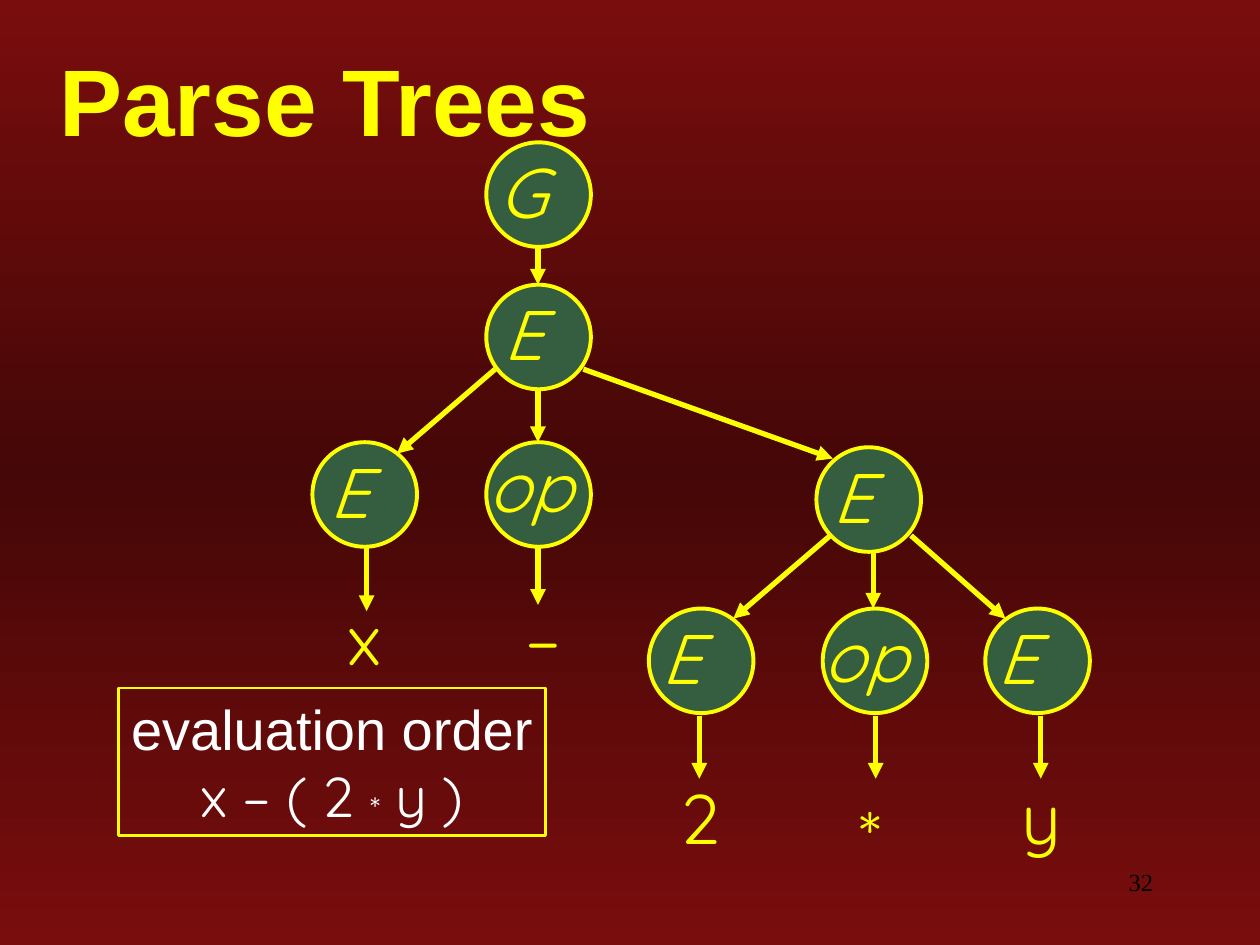
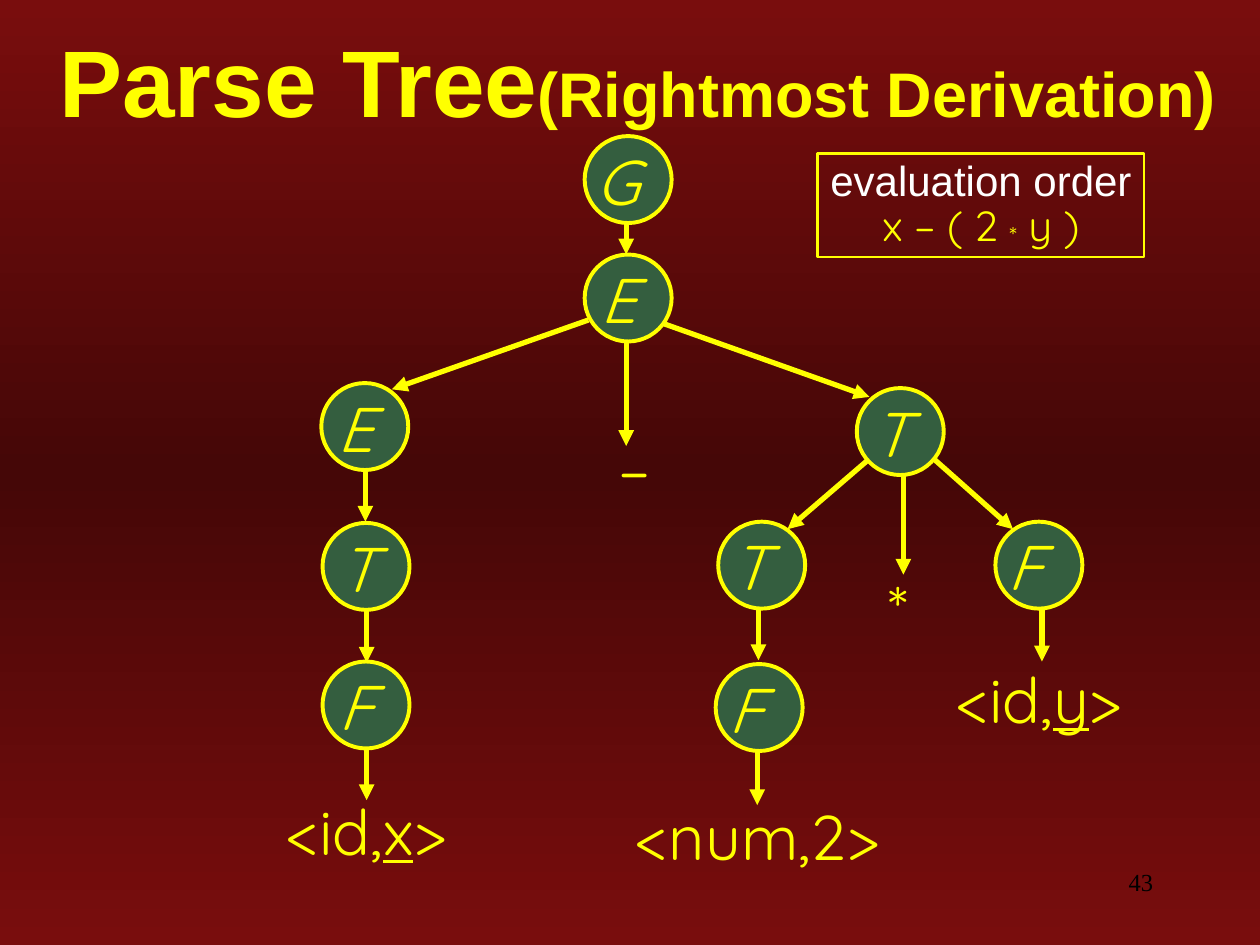
from copy import deepcopy

from lxml.etree import SubElement
from pptx import Presentation
from pptx.dml.color import RGBColor
from pptx.enum.shapes import MSO_CONNECTOR, MSO_SHAPE
from pptx.enum.text import MSO_ANCHOR, MSO_AUTO_SIZE, PP_ALIGN
from pptx.oxml.ns import qn
from pptx.util import Inches, Pt

# Shared look
YELLOW, WHITE, BLACK, GREEN = "FFFF00", "FFFFFF", "000000", "345E3F"
GRADIENT = [(0, "790D0D"), (0.5, "450707"), (1, "790D0D")]
SHADOW = "E0E0E0"
HEADING, LETTERING, NUMBERING = "Arial", "Quicksand", "Times New Roman"
FORMULA = [("x – ( 2 ", ""), ("*", "lowered"), (" y )", "")]

# Nodes: symbol, circle left, circle top, label shift right, label shift down
# Arrows: start x, start y, end x, end y
# Leaves: runs of (text, style), left, top, width
SLIDES = [
    {
        "title": [("Parse Trees", 54)], "title_top": 0.37, "number": "32",
        "size": 40, "diameter": 0.83, "label_height": 0.77,
        "label_widths": {1: 0.64, 2: 0.96}, "leaf_align": PP_ALIGN.LEFT,
        "nodes": [
            ("G", 3.86, 1.13, 0, 0),
            ("E", 3.86, 2.26, 0.04, 0),
            ("E", 2.48, 3.51, 0.04, 0),
            ("op", 3.86, 3.51, -0.08, -0.05),
            ("E", 6.48, 3.55, 0.03, 0),
            ("E", 5.15, 4.83, 0, 0),
            ("op", 6.53, 4.83, -0.09, -0.02),
            ("E", 7.82, 4.83, 0, 0),
        ],
        "arrows": [
            (4.27, 1.96, 4.27, 2.26),
            (3.93, 2.93, 3.15, 3.6),
            (4.27, 3.01, 4.27, 3.51),
            (4.63, 2.93, 6.61, 3.64),
            (2.91, 4.35, 2.91, 4.85),
            (4.27, 4.3, 4.27, 4.8),
            (6.59, 4.25, 5.82, 4.91),
            (6.93, 4.33, 6.93, 4.83),
            (7.23, 4.25, 7.98, 4.91),
            (5.55, 5.68, 5.55, 6.18),
            (6.95, 5.68, 6.95, 6.18),
            (8.26, 5.68, 8.26, 6.18),
        ],
        "leaves": [
            ([("x", "")], 2.66, 4.68, 0.49),
            ([("–", "")], 4.07, 4.67, 0.49),
            ([("2", "")], 5.3, 6.1, 0.49),
            ([("*", "")], 6.72, 6.23, 0.49),
            ([("y", "")], 8.01, 6.1, 0.49),
        ],
        "order": {"place": (0.94, 5.46, 3.39, 1.17), "size": 32,
                  "formula_color": WHITE, "spacing": 1.0},
    },
    {
        "title": [("Parse Tree", 54), ("(Rightmost Derivation)", 36)],
        "title_top": 0.22, "number": "43",
        "size": 36, "diameter": 0.69, "label_height": 0.7,
        "label_widths": {1: 0.53}, "leaf_align": PP_ALIGN.CENTER,
        "nodes": [
            ("G", 4.64, 1.08, -0.01, 0),
            ("E", 4.64, 2.02, 0.03, 0),
            ("E", 2.55, 3.04, 0.03, 0),
            ("T", 2.56, 4.15, 0.03, 0),
            ("F", 2.56, 5.25, 0.03, 0),
            ("T", 6.8, 3.08, 0.02, 0),
            ("T", 5.7, 4.14, 0, 0),
            ("F", 5.68, 5.27, 0, 0),
            ("F", 7.9, 4.14, 0, 0),
        ],
        "arrows": [
            (4.97, 1.77, 4.97, 2.02),
            (4.67, 2.54, 3.11, 3.09),
            (4.97, 2.64, 4.97, 3.54),
            (5.27, 2.57, 6.9, 3.15),
            (2.9, 3.73, 2.9, 4.14),
            (2.91, 4.84, 2.91, 5.26),
            (2.91, 5.94, 2.91, 6.35),
            (6.89, 3.65, 6.25, 4.2),
            (7.17, 3.72, 7.17, 4.56),
            (7.42, 3.65, 8.04, 4.2),
            (6.02, 4.82, 6.02, 5.24),
            (6.01, 5.97, 6.01, 6.39),
            (8.27, 4.84, 8.27, 5.25),
        ],
        "leaves": [
            ([("–", "")], 4.81, 3.36, 0.4),
            ([("*", "")], 6.95, 4.46, 0.41),
            ([("<id,", ""), ("x", "underlined"), (">", "")], 2.05, 6.24, 1.72),
            ([("<num,2>", "")], 4.82, 6.28, 2.39),
            ([("<id,", ""), ("y", "underlined"), (">", "")], 7.37, 5.19, 1.76),
        ],
        "order": {"place": (6.49, 1.22, 2.59, 0.82), "size": 24,
                  "formula_color": YELLOW, "spacing": 0.9},
    },
]


def color(value):
    return RGBColor.from_string(value)


def inches(*lengths):
    return [Inches(length) for length in lengths]


def add_span(para, text, size, font, shade, style=""):
    span = para.add_run()
    span.text = text
    span.font.size = Pt(size)
    span.font.name = font
    span.font.color.rgb = color(shade)
    if style == "italic":
        span.font.italic = True
    elif style == "underlined":
        span.font.underline = True
    elif style == "lowered":
        span.font._element.set("baseline", "-6000")
    return span


def add_label(page, place, spans, size, font=LETTERING, shade=YELLOW,
              align=PP_ALIGN.LEFT):
    frame = page.shapes.add_textbox(*inches(*place)).text_frame
    frame.word_wrap = True
    para = frame.paragraphs[0]
    para.alignment = align
    for text, style in spans:
        add_span(para, text, size, font, shade, style)


def add_outline(page, kind, place, width):
    shape = page.shapes.add_shape(kind, *inches(*place))
    shape.shadow.inherit = False
    shape.line.color.rgb = color(YELLOW)
    shape.line.width = Pt(width)
    return shape


def paint_background(master):
    fill = master.background.fill
    fill.gradient()
    fill.gradient_angle = 90
    stop_list = master.element.find(".//" + qn("a:gsLst"))
    stop_list.append(deepcopy(stop_list[0]))
    for stop, (position, shade) in zip(fill.gradient_stops, GRADIENT):
        stop.position = position
        stop.color.rgb = color(shade)


def add_title(page, spans, top):
    title = page.shapes.title
    title.left, title.top, title.width, title.height = inches(
        0.37, top, 9.63, 0.83)
    frame = title.text_frame
    frame.vertical_anchor = MSO_ANCHOR.MIDDLE
    frame.auto_size = MSO_AUTO_SIZE.NONE
    para = frame.paragraphs[0]
    para.alignment = PP_ALIGN.LEFT
    for text, size in spans:
        span = add_span(para, text, size, HEADING, YELLOW)
        span.font.bold = True
        # Text shadow, placed right after the fill
        properties = span.font._element
        effects = SubElement(properties, qn("a:effectLst"))
        shadow = SubElement(effects, qn("a:outerShdw"), dist="28400",
                            dir="2700000", algn="tl")
        SubElement(shadow, qn("a:srgbClr"), val=SHADOW)
        properties.find(qn("a:solidFill")).addnext(effects)


def add_arrow(page, ends):
    arrow = page.shapes.add_connector(MSO_CONNECTOR.STRAIGHT, *inches(*ends))
    arrow.line.color.rgb = color(YELLOW)
    arrow.line.width = Pt(3)
    SubElement(arrow.line._get_or_add_ln(), qn("a:tailEnd"), type="triangle")
    SubElement(arrow._element.spPr, qn("a:effectLst"))


def add_node(page, tree, symbol, left, top, right_shift, down_shift):
    diameter = tree["diameter"]
    circle = add_outline(page, MSO_SHAPE.OVAL,
                         (left, top, diameter, diameter), 2.25)
    circle.fill.solid()
    circle.fill.fore_color.rgb = color(GREEN)
    place = (left + right_shift, top + down_shift,
             tree["label_widths"][len(symbol)], tree["label_height"])
    add_label(page, place, [(symbol, "italic")], tree["size"])


def add_order_box(page, order):
    box = add_outline(page, MSO_SHAPE.RECTANGLE, order["place"], 1.5)
    box.fill.background()
    frame = box.text_frame
    frame.word_wrap = False
    frame.vertical_anchor = MSO_ANCHOR.TOP
    heading, formula = frame.paragraphs[0], frame.add_paragraph()
    for para in (heading, formula):
        para.alignment = PP_ALIGN.CENTER
        para.line_spacing = order["spacing"]
    add_span(heading, "evaluation order", order["size"], HEADING, WHITE)
    for text, style in FORMULA:
        add_span(formula, text, order["size"], LETTERING,
                 order["formula_color"], style)


def build_slide(deck, tree):
    page = deck.slides.add_slide(deck.slide_layouts[5])
    add_title(page, tree["title"], tree["title_top"])
    add_label(page, (7.17, 6.83, 2.08, 0.5), [(tree["number"], "")], 14,
              NUMBERING, BLACK, PP_ALIGN.RIGHT)
    for ends in tree["arrows"]:
        add_arrow(page, ends)
    for node in tree["nodes"]:
        add_node(page, tree, *node)
    for spans, left, top, width in tree["leaves"]:
        align = tree["leaf_align"] if width > 1 else PP_ALIGN.LEFT
        add_label(page, (left, top, width, tree["label_height"]), spans,
                  tree["size"], align=align)
    add_order_box(page, tree["order"])


def main():
    deck = Presentation()
    deck.slide_width, deck.slide_height = inches(10, 7.5)
    paint_background(deck.slide_master)
    for tree in SLIDES:
        build_slide(deck, tree)
    deck.save("out.pptx")


if __name__ == "__main__":
    main()
